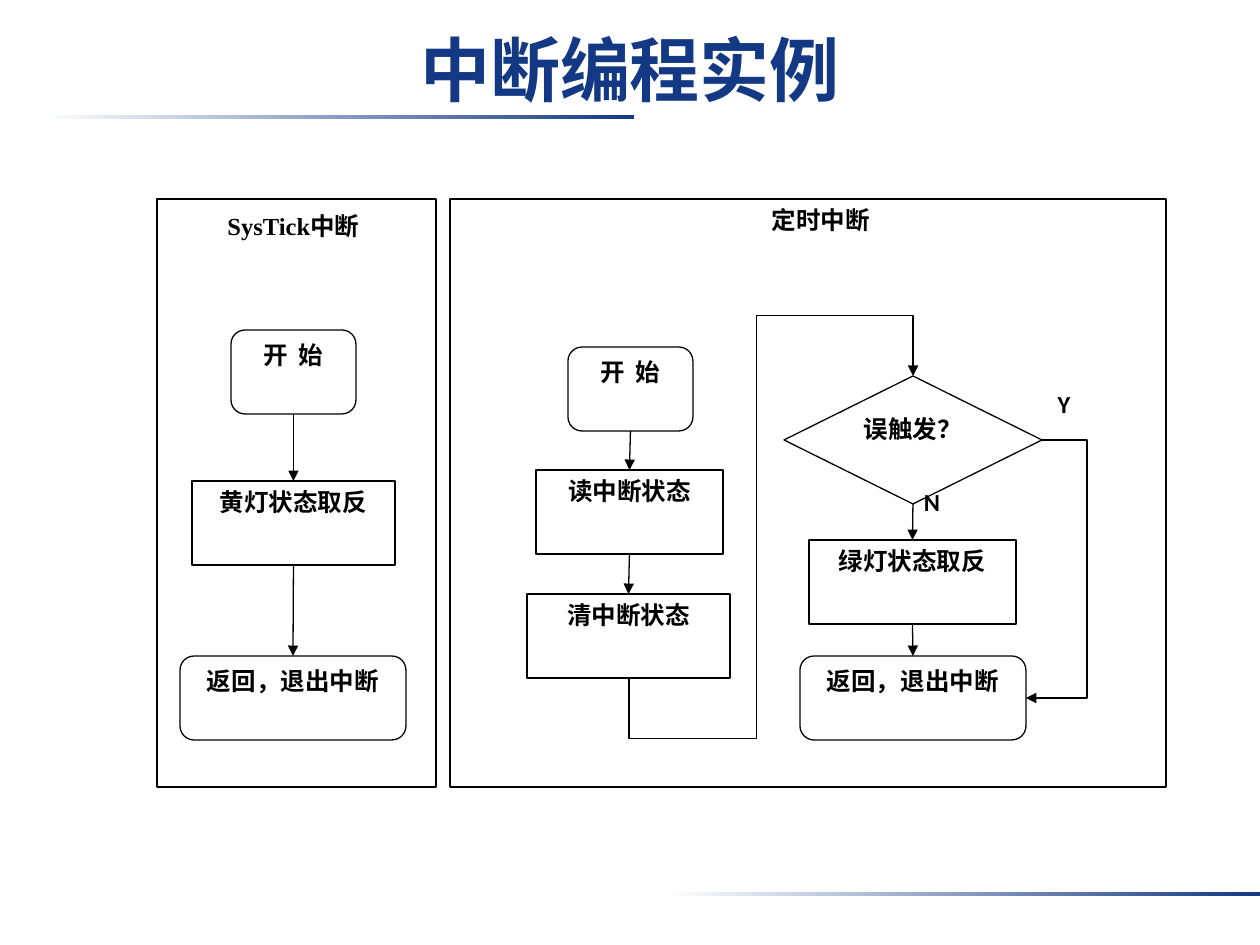
from dataclasses import dataclass

from lxml import etree
from pptx import Presentation
from pptx.dml.color import RGBColor
from pptx.enum.shapes import MSO_CONNECTOR, MSO_SHAPE
from pptx.enum.text import MSO_ANCHOR, MSO_AUTO_SIZE, PP_ALIGN
from pptx.oxml.ns import qn
from pptx.util import Emu, Pt

PIXEL = 914400 // 126
BLACK = RGBColor(0, 0, 0)
WHITE = RGBColor(0xFF, 0xFF, 0xFF)
NAVY = RGBColor(0x13, 0x39, 0x84)
CALIBRI = "Calibri"
TIMES = "Times New Roman"
RECTANGLE = MSO_SHAPE.RECTANGLE
TERMINAL = MSO_SHAPE.FLOWCHART_ALTERNATE_PROCESS
DIAMOND = MSO_SHAPE.DIAMOND
STRAIGHT = MSO_CONNECTOR.STRAIGHT
ELBOW = MSO_CONNECTOR.ELBOW
CENTER = PP_ALIGN.CENTER
TOP = MSO_ANCHOR.TOP
MIDDLE = MSO_ANCHOR.MIDDLE
NO_FIT = MSO_AUTO_SIZE.NONE
TOP_SITE, BOTTOM_SITE = 0, 2
STEP_HEIGHT = 84
LABEL_HEIGHT = 82


@dataclass
class Box:
    left: int
    top: int
    width: int
    height: int


@dataclass
class Run:
    text: str
    font: str = CALIBRI


@dataclass
class Step:
    kind: int
    box: Box
    run: Run


@dataclass
class Label:
    box: Box
    runs: list[Run]


@dataclass
class Elbow:
    preset: str
    box: Box
    transform: dict[str, str]
    adjustments: list[float]


def pixels(value: int) -> Emu:
    return Emu(value * PIXEL)


def place(box: Box) -> list[Emu]:
    return [pixels(value) for value in (box.left, box.top, box.width, box.height)]


def apply(target, values: dict) -> None:
    for name, value in values.items():
        setattr(target, name, value)


def write(shape, runs: list[Run], size: int = 14, color: RGBColor = BLACK, anchor=TOP) -> None:
    frame = shape.text_frame
    apply(frame, {"word_wrap": True, "auto_size": NO_FIT, "vertical_anchor": anchor})
    paragraph = frame.paragraphs[0]
    paragraph.alignment = CENTER
    for item in runs:
        run = paragraph.add_run()
        run.text = item.text
        apply(run.font, {"name": item.font, "size": Pt(size), "bold": True})
        run.font.color.rgb = color


def outline(line) -> None:
    line.color.rgb = BLACK
    line.width = Pt(0.75)


def draw_panel(slide, box: Box) -> None:
    shape = slide.shapes.add_shape(RECTANGLE, *place(box))
    shape.shadow.inherit = False
    shape.fill.background()
    outline(shape.line)


def draw_bar(slide, box: Box) -> None:
    shape = slide.shapes.add_shape(RECTANGLE, *place(box))
    shape.shadow.inherit = False
    shape.line.fill.background()
    shape.fill.gradient()
    shape.fill.gradient_angle = 0
    for stop, color in zip(shape.fill.gradient_stops, (WHITE, NAVY)):
        stop.color.rgb = color


def draw_step(slide, step: Step):
    shape = slide.shapes.add_shape(step.kind, *place(step.box))
    shape.shadow.inherit = False
    shape.fill.solid()
    shape.fill.fore_color.rgb = WHITE
    outline(shape.line)
    write(shape, [step.run])
    return shape


def draw_label(slide, label: Label) -> None:
    write(slide.shapes.add_textbox(*place(label.box)), label.runs)


def finish_arrow(connector) -> None:
    outline(connector.line)
    line = connector.line._get_or_add_ln()
    etree.SubElement(line, qn("a:tailEnd"), type="triangle", w="med", len="med")
    etree.SubElement(connector._element.spPr, qn("a:effectLst"))


def join(slide, upper, lower) -> None:
    connector = slide.shapes.add_connector(STRAIGHT, 0, 0, 0, 0)
    connector.begin_connect(upper, BOTTOM_SITE)
    connector.end_connect(lower, TOP_SITE)
    finish_arrow(connector)


def draw_elbow(slide, elbow: Elbow) -> None:
    left, top, width, height = place(elbow.box)
    connector = slide.shapes.add_connector(ELBOW, left, top, left + width, top + height)
    properties = connector._element.spPr
    for name, value in elbow.transform.items():
        properties.find(qn("a:xfrm")).set(name, value)
    geometry = properties.find(qn("a:prstGeom"))
    geometry.set("prst", elbow.preset)
    guides = geometry.find(qn("a:avLst"))
    for number, value in enumerate(elbow.adjustments, 1):
        etree.SubElement(guides, qn("a:gd"), name=f"adj{number}", fmla=f"val {round(value * 100000)}")
    finish_arrow(connector)


BARS = [Box(39, 115, 595, 4), Box(665, 892, 595, 4)]
PANELS = [Box(157, 199, 279, 588), Box(450, 199, 716, 588)]
FLOWS = [
    [
        Step(TERMINAL, Box(231, 330, 125, STEP_HEIGHT), Run("开  始")),
        Step(RECTANGLE, Box(192, 481, 203, STEP_HEIGHT), Run("黄灯状态取反", TIMES)),
        Step(TERMINAL, Box(180, 656, 226, STEP_HEIGHT), Run("返回，退出中断")),
    ],
    [
        Step(TERMINAL, Box(568, 347, 125, STEP_HEIGHT), Run("开  始")),
        Step(RECTANGLE, Box(536, 470, 187, STEP_HEIGHT), Run("读中断状态", TIMES)),
        Step(RECTANGLE, Box(527, 594, 203, STEP_HEIGHT), Run("清中断状态")),
    ],
    [
        Step(DIAMOND, Box(784, 376, 258, 128), Run("误触发？")),
        Step(RECTANGLE, Box(809, 540, 207, STEP_HEIGHT), Run("绿灯状态取反", TIMES)),
        Step(TERMINAL, Box(800, 656, 226, STEP_HEIGHT), Run("返回，退出中断")),
    ],
]
ELBOWS = [
    Elbow("bentConnector5", Box(620, 385, 302, 284),
          {"rot": "5400000", "flipH": "1", "flipV": "1"}, [-0.2, 0.45, 1.2]),
    Elbow("bentConnector3", Box(1026, 440, 16, 258), {"flipH": "1"}, [-2.81]),
]
LABELS = [
    Label(Box(169, 205, 249, LABEL_HEIGHT), [Run("SysTick", TIMES), Run("中断")]),
    Label(Box(645, 199, 352, LABEL_HEIGHT), [Run("定时中断")]),
    Label(Box(1032, 383, 64, LABEL_HEIGHT), [Run("Y")]),
    Label(Box(900, 481, 64, LABEL_HEIGHT), [Run("N")]),
]

presentation = Presentation()
apply(presentation, {"slide_width": pixels(1260), "slide_height": pixels(945)})
slide = presentation.slides.add_slide(presentation.slide_layouts[5])

title = slide.shapes.title
apply(title, dict(zip(("left", "top", "width", "height"), place(Box(0, 21, 1260, 95)))))
write(title, [Run("中断编程实例", "Arial")], 40, NAVY, MIDDLE)

for bar in BARS:
    draw_bar(slide, bar)
for panel in PANELS:
    draw_panel(slide, panel)
for flow in FLOWS:
    shapes = [draw_step(slide, step) for step in flow]
    for upper, lower in zip(shapes, shapes[1:]):
        join(slide, upper, lower)
for elbow in ELBOWS:
    draw_elbow(slide, elbow)
for label in LABELS:
    draw_label(slide, label)

presentation.save("out.pptx")
